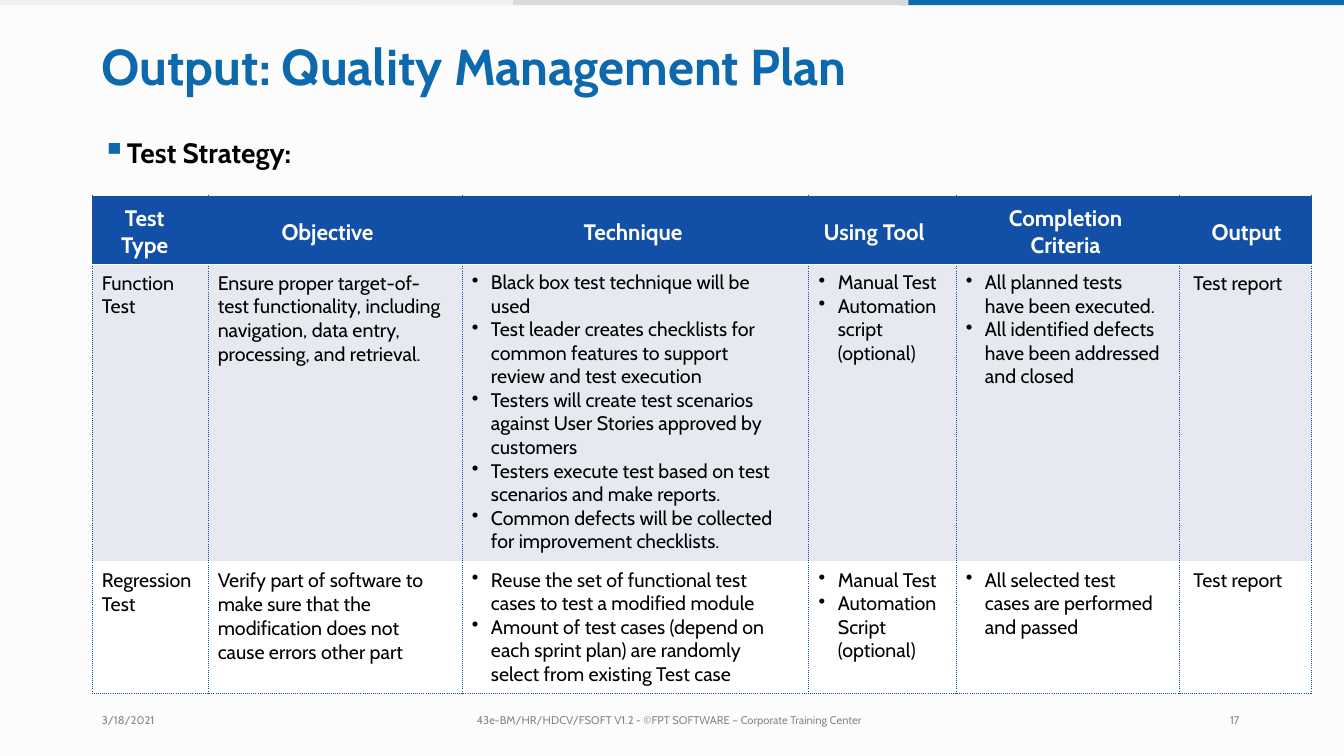
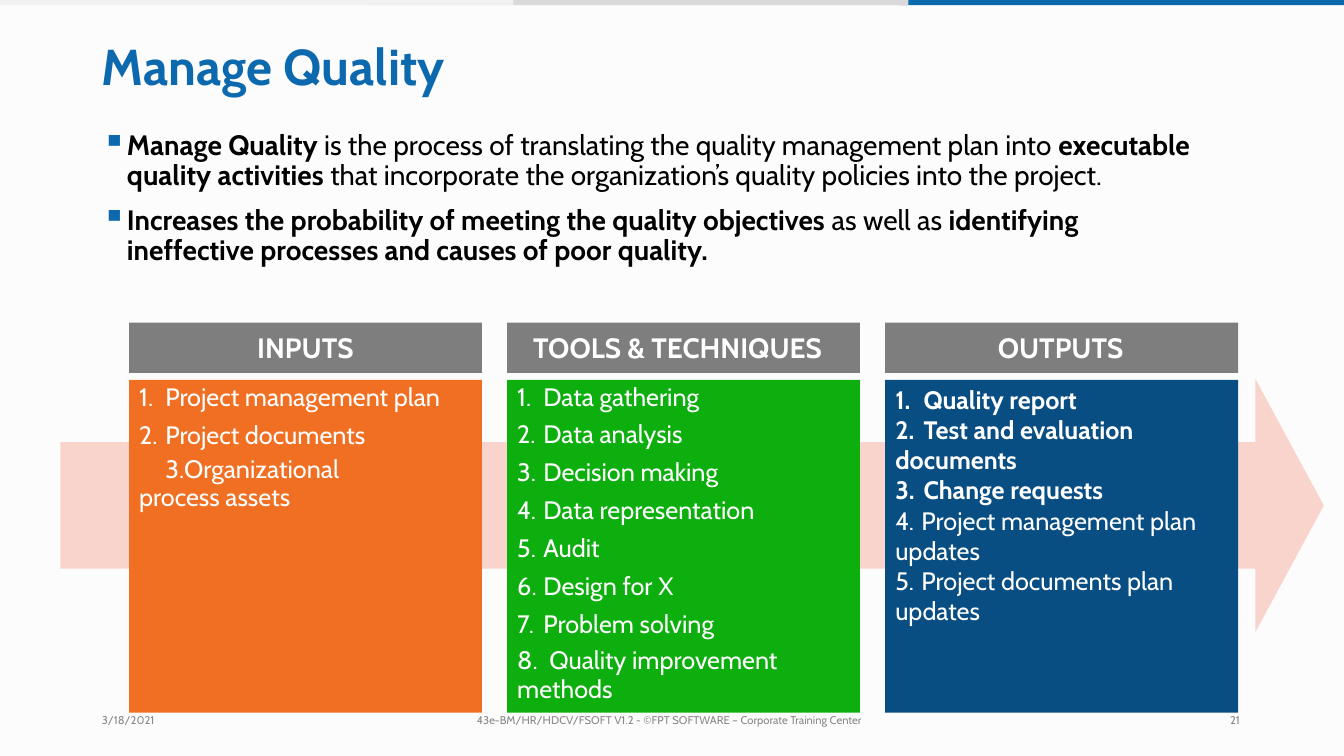
"""Build two quality management slides: a test strategy table and a process overview."""
from lxml import etree
from pptx import Presentation
from pptx.dml.color import RGBColor
from pptx.enum.shapes import MSO_SHAPE
from pptx.enum.text import MSO_ANCHOR, PP_ALIGN
from pptx.oxml.ns import qn
from pptx.util import Emu, Pt

RECT, ARROW = MSO_SHAPE.RECTANGLE, MSO_SHAPE.RIGHT_ARROW
LEFT, CENTER, RIGHT = PP_ALIGN.LEFT, PP_ALIGN.CENTER, PP_ALIGN.RIGHT
TOP, MIDDLE = MSO_ANCHOR.TOP, MSO_ANCHOR.MIDDLE
SCALE = 9144
FONT = "Cabin"
COLORS = {
    "page": "FCFCFC", "accent": "0D69AE", "band_mid": "D9D9D9", "band_light": "F1F1F1",
    "text": "000000", "footer": "888888", "white": "FFFFFF", "table_head": "124FA6",
    "row_tint": "E7E9F0", "border": "124DA2", "flow": "F9D4CC", "heading": "7E7E7E",
    "inputs": "F16F22", "tools": "0DAF0E", "outputs": "094E83",
}
BANDS = [(892, 442, "accent"), (364, 537, "band_mid"), (0, 509, "band_light")]
FOOTER = "43e-BM/HR/HDCV/FSOFT V1.2 - ©FPT SOFTWARE – Corporate Training Center"

COLUMN_WIDTHS = [115, 252, 344, 146, 222, 131]
ROW_HEIGHTS = [68, 295, 131]
HEADERS = [
    (["Test", "Type"], 10), (["Objective"], 14), (["Technique"], 4),
    (["Using Tool"], 16), (["Completion", "Criteria"], 4), (["Output"], 30),
]
BODY_STYLES = [
    (10, 0, False), (10, 17, False), (29, 32, True),
    (29, 12, True), (29, 14, True), (0, 29, False),
]
TEST_ROWS = [
    [
        ["Function Test"],
        ["Ensure proper target-of-test functionality, including navigation, data entry, "
         "processing, and retrieval."],
        ["Black box test technique will be used",
         "Test leader creates checklists for common features to support review and test execution",
         "Testers will create test scenarios against User Stories approved by customers",
         "Testers execute test based on test scenarios and make reports.",
         "Common defects will be collected for improvement checklists."],
        ["Manual Test", "Automation script (optional)"],
        ["All planned tests\nhave been executed.",
         "All identified defects have been addressed and closed"],
        ["Test report"],
    ],
    [
        ["Regression Test"],
        ["Verify part of software to make sure that the modification does not "
         "cause errors other part"],
        ["Reuse the set of functional test cases to test a modified module",
         "Amount of test cases (depend on each sprint plan) are randomly select "
         "from existing Test case"],
        ["Manual Test", "Automation Script (optional)"],
        ["All selected test\ncases are performed and passed"],
        ["Test report"],
    ],
]
ROW_FILLS = ["row_tint", "white"]

POINTS = [
    "**Manage Quality** is the process of translating the quality management plan into "
    "**executable quality activities** that incorporate the organization’s quality policies "
    "into the project.",
    "**Increases the probability of meeting the quality objectives** as well as **identifying\n"
    "ineffective processes and causes of poor quality.**",
]
PANELS = [
    ("INPUTS", 0, "inputs", 1, 5.5, 19.4, [
        ("Project management plan", 36, -26),
        ("Project documents", 36, -26),
        ("Organizational\nprocess assets", 10, 26),
    ]),
    ("TOOLS & TECHNIQUES", 12, "tools", 1, 5.4, 20.6, [
        ("Data gathering", 36, -26),
        ("Data analysis", 36, -26),
        ("Decision making", 36, -26),
        ("Data representation", 36, -26),
        ("Audit", 36, -26),
        ("Design for X", 36, -26),
        ("Problem solving", 36, -26),
        ("Quality improvement\nmethods", 42, -32),
    ]),
    ("OUTPUTS", 2, "outputs", 4, 0, None, [
        ("**Quality report**", 38, -28),
        ("**Test and evaluation**\n**documents**", 38, -28),
        ("**Change requests**", 38, -28),
        ("Project management plan\nupdates", 36, -26),
        ("Project documents plan\nupdates", 36, -26),
    ]),
]


def px(length):
    """Turn px into EMU."""
    return Emu(length * SCALE)


def rgb(name):
    """Look up a named colour."""
    return RGBColor.from_string(COLORS[name])


def add(parent, tag, **attributes):
    """Append a drawing element to a parent."""
    node = etree.SubElement(parent, qn(tag))
    for key, value in attributes.items():
        node.set(key, str(value))
    return node


class Deck:
    """Hold the shared style and the current slide."""

    def __init__(self):
        """Start a widescreen presentation."""
        self.presentation = Presentation()
        self.presentation.slide_width, self.presentation.slide_height = px(1333), px(750)
        self.slide = None

    def new_slide(self, title, number):
        """Add a slide with bands, title and footer."""
        self.slide = self.presentation.slides.add_slide(self.presentation.slide_layouts[6])
        background = self.slide.background.fill
        background.solid()
        background.fore_color.rgb = rgb("page")
        for left, width, color in BANDS:
            self.shape(RECT, left, 0, width, 5, color)
        self.paragraph(self.text_box(101, 34, 1119, 63, 1), f"**{title}**", 36, "accent")
        for left, width, text in [(101, 100, "3/18/2021"), (473, 420, FOOTER), (1220, 40, number)]:
            self.paragraph(self.text_box(left, 706, width, 17, 2), text, 8, "footer")

    def frame(self, frame, inset, anchor=TOP, right=0):
        """Set wrapping, insets and anchor of a text frame or cell."""
        frame.margin_left = frame.margin_bottom = 0
        frame.margin_top, frame.margin_right = px(inset), px(right)
        frame.vertical_anchor = anchor
        return frame

    def text_box(self, left, top, width, height, inset):
        """Add a text box and return its frame."""
        box = self.slide.shapes.add_textbox(px(left), px(top), px(width), px(height))
        box.text_frame.word_wrap = True
        return self.frame(box.text_frame, inset)

    def shape(self, kind, left, top, width, height, color):
        """Add a filled shape without outline."""
        shape = self.slide.shapes.add_shape(kind, px(left), px(top), px(width), px(height))
        shape.shadow.inherit = False
        shape.fill.solid()
        shape.fill.fore_color.rgb = rgb(color)
        shape.line.fill.background()
        shape.text_frame.word_wrap = True
        return shape

    def paragraph(self, frame, text, size, color, align=LEFT, left=0, first=0,
                  before=0, line=None, bullet=None, start=None):
        """Add a paragraph in which ** toggles bold."""
        is_first = not frame.paragraphs[0].runs
        paragraph = frame.paragraphs[0] if is_first else frame.add_paragraph()
        properties = paragraph._p.get_or_add_pPr()
        properties.set("marL", str(px(left)))
        properties.set("indent", str(px(first)))
        if bullet == "▪":
            add(add(properties, "a:buClr"), "a:srgbClr", val=COLORS["accent"])
            add(properties, "a:buSzPct", val=120000)
        if bullet:
            add(properties, "a:buChar", char=bullet)
        elif start:
            add(properties, "a:buAutoNum", type="arabicPeriod", startAt=start)
        paragraph.alignment = align
        paragraph.space_before = Pt(0 if is_first else before)
        if line:
            paragraph.line_spacing = Pt(line)
        for part_index, part in enumerate(text.split("**")):
            for line_index, words in enumerate(part.split("\n")):
                if line_index:
                    paragraph.add_line_break()
                if words:
                    run = paragraph.add_run()
                    run.text = words
                    run.font.name, run.font.size = FONT, Pt(size)
                    run.font.bold = part_index % 2 == 1
                    run.font.color.rgb = rgb(color)

    def points(self, frame, texts):
        """Add square-bulleted points."""
        for text in texts:
            self.paragraph(frame, text, 20, "text", left=26, first=-25,
                           before=10.2, line=21.6, bullet="▪")

    def cell(self, cell, fill, sides, inset, right):
        """Style a table cell and return its frame."""
        self.frame(cell, inset, right=right)
        properties = cell._tc.get_or_add_tcPr()
        for side in sides:
            border = add(properties, f"a:ln{side}", w=3175)
            add(add(border, "a:solidFill"), "a:srgbClr", val=COLORS["border"])
            add(border, "a:prstDash", val="sysDot")
        cell.fill.solid()
        cell.fill.fore_color.rgb = rgb(fill)
        return cell.text_frame

    def test_table(self, left, top):
        """Add the test strategy table."""
        table = self.slide.shapes.add_table(
            len(ROW_HEIGHTS), len(COLUMN_WIDTHS), px(left), px(top),
            px(sum(COLUMN_WIDTHS)), px(sum(ROW_HEIGHTS))).table
        for column, width in zip(table.columns, COLUMN_WIDTHS):
            column.width = px(width)
        for row, height in zip(table.rows, ROW_HEIGHTS):
            row.height = px(height)
        last = len(HEADERS) - 1
        for column, (lines, right) in enumerate(HEADERS):
            inset = 9 if len(lines) > 1 else 23
            align = RIGHT if column == last else CENTER
            frame = self.cell(table.cell(0, column), "table_head", "LR", inset, right)
            for text in lines:
                self.paragraph(frame, f"**{text}**", 16, "white", align)
        for row, (contents, fill) in enumerate(zip(TEST_ROWS, ROW_FILLS), 1):
            for column, (texts, style) in enumerate(zip(contents, BODY_STYLES)):
                indent, right, bulleted = style
                align = RIGHT if column == last else LEFT
                frame = self.cell(table.cell(row, column), fill, "LRB", 7, right)
                options = {"first": -19, "line": 16.8, "bullet": "•"} if bulleted else {}
                for text in texts:
                    self.paragraph(frame, text, 14, "text", align, left=indent, **options)

    def panel(self, left, heading, shift, color, inset, gap, line, items):
        """Add a headed panel with a numbered list."""
        body = self.shape(RECT, left, 377, 350, 330, color)
        frame = self.frame(body.text_frame, inset)
        start = 1
        for number, (text, indent, first) in enumerate(items, 1):
            entry, *rest = text.split("\n")
            self.paragraph(frame, entry, 18, "white", left=indent, first=first, before=gap,
                           line=line if rest else None, start=start)
            for continuation in rest:
                self.paragraph(frame, continuation, 18, "white", left=10, line=line)
                start = number + 1
        title = self.shape(RECT, left, 320, 350, 50, "heading")
        self.paragraph(self.frame(title.text_frame, 0, MIDDLE, shift),
                       f"**{heading}**", 20, "white", CENTER)


def main():
    """Build and save the slides."""
    deck = Deck()
    deck.new_slide("Output: Quality Management Plan", "17")
    deck.points(deck.text_box(100, 137, 300, 36, 1), ["**Test Strategy:**"])
    deck.test_table(91, 194)

    deck.new_slide("Manage Quality", "21")
    flow = deck.shape(ARROW, 60, 376, 1253, 251, "flow")
    flow.adjustments[0], flow.adjustments[1] = 0.5, 0.27
    deck.points(deck.text_box(100, 125, 1113, 170, 5), POINTS)
    for index, panel in enumerate(PANELS):
        deck.panel(128 + 375 * index, *panel)
    deck.presentation.save("out.pptx")


if __name__ == "__main__":
    main()
